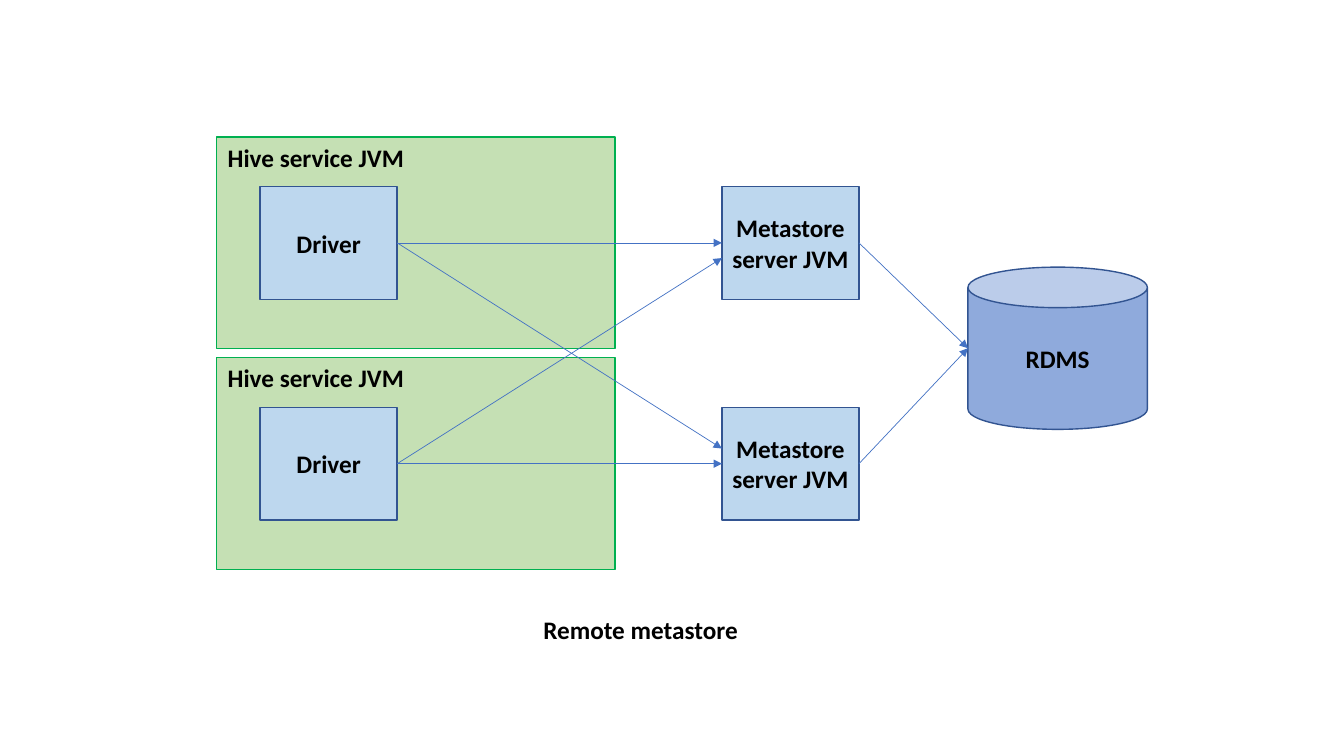
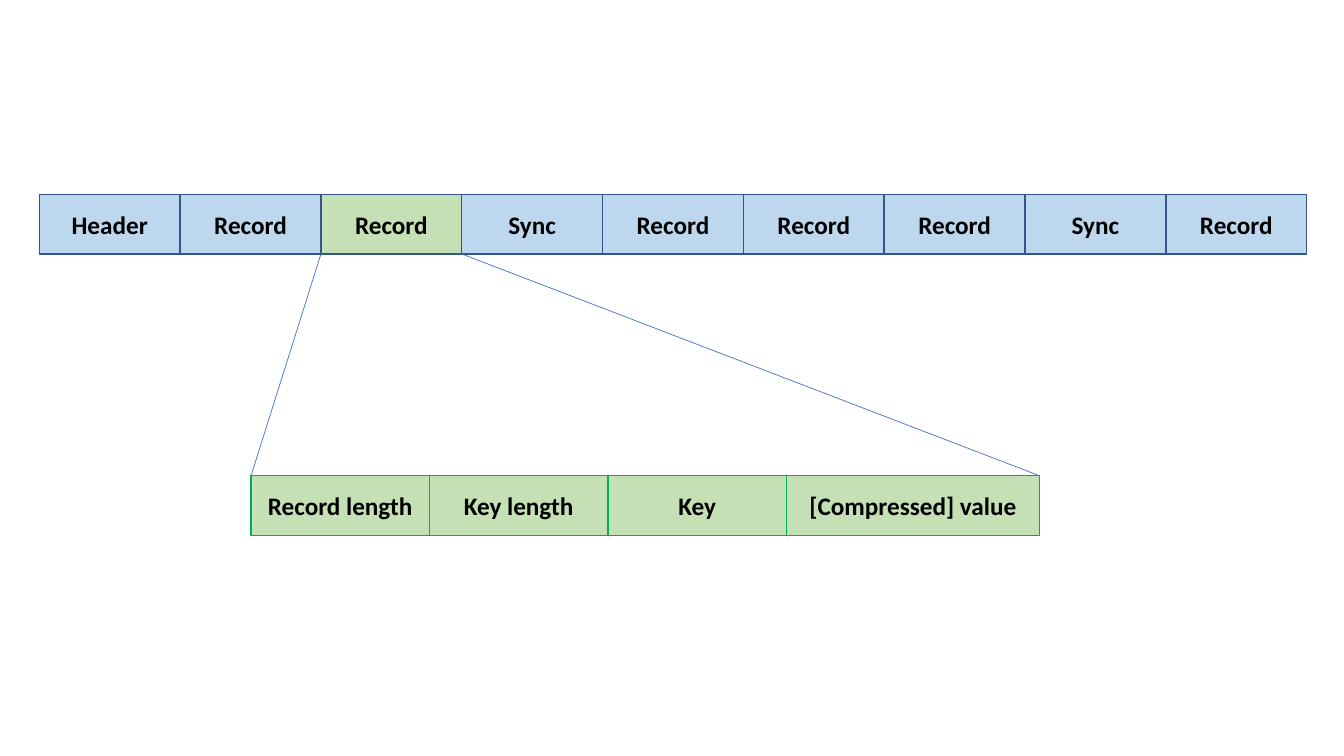
from pptx import Presentation
from pptx.dml.color import RGBColor
from pptx.enum import shapes, text
from pptx.oxml.ns import qn
from pptx.util import Inches, Pt
from lxml import etree

BLACK = RGBColor(0x00, 0x00, 0x00)
LIGHT_BLUE = RGBColor(0xBD, 0xD7, 0xEE)
MID_BLUE = RGBColor(0x8F, 0xAA, 0xDC)
DARK_BLUE = RGBColor(0x32, 0x54, 0x91)
LINE_BLUE = RGBColor(0x44, 0x72, 0xC4)
LIGHT_GREEN = RGBColor(0xC5, 0xE0, 0xB4)
GREEN = RGBColor(0x00, 0xB0, 0x50)
FONT = {"name": "Calibri", "size": Pt(18), "bold": True}
RECT = shapes.MSO_SHAPE.RECTANGLE
CAN = shapes.MSO_SHAPE.CAN
LEFT_SIDE, RIGHT_SIDE = 1, 3

prs = Presentation()
prs.slide_width, prs.slide_height = Inches(13.33), Inches(7.5)
blank = prs.slide_layouts[6]


def add_box(s, kind, x, y, w, h, fill=None, line=None, words=""):
    area = [Inches(v) for v in (x, y, w, h)]
    if kind is None:
        sp = s.shapes.add_textbox(*area)
    else:
        sp = s.shapes.add_shape(kind, *area)
        sp.shadow.inherit = False
        sp.fill.solid()
        sp.fill.fore_color.rgb = fill
        sp.line.color.rgb = line
        sp.line.width = Pt(1)
    if words:
        tf = sp.text_frame
        tf.word_wrap = kind is not None
        if kind is not None:
            tf.margin_left = tf.margin_right = Inches(0.05)
            tf.vertical_anchor = text.MSO_ANCHOR.MIDDLE
        tf.text = words
        for p in tf.paragraphs:
            p.alignment = text.PP_ALIGN.LEFT if kind is None else text.PP_ALIGN.CENTER
            for key, value in FONT.items():
                setattr(p.font, key, value)
            p.font.color.rgb = BLACK
    return sp


def add_line(s, start, end, arrow=False):
    ends = [Inches(v) for v in (*start, *end)]
    cx = s.shapes.add_connector(shapes.MSO_CONNECTOR.STRAIGHT, *ends)
    cx.line.color.rgb = LINE_BLUE
    cx.line.width = Pt(0.5)
    if arrow:
        etree.SubElement(cx.line._get_or_add_ln(), qn("a:tailEnd"), type="triangle")
    etree.SubElement(cx._element.spPr, qn("a:effectLst"))
    return cx


s = prs.slides.add_slide(blank)
box_w, box_h = 1.36, 1.12
driver_x, server_x = 2.58, 7.16
can_x, can_y, can_w, can_h = 9.6, 2.65, 1.78, 1.61
can_left = (can_x, can_y + can_h / 2)
add_box(s, CAN, can_x, can_y, can_w, can_h, MID_BLUE, DARK_BLUE, "RDMS")

drivers, servers, middles = [], [], []
for top in (1.36, 3.55):
    box_y = top + 0.49
    add_box(s, RECT, 2.15, top, 3.95, 2.1, LIGHT_GREEN, GREEN)
    add_box(s, None, 2.16, top, 1.97, 0.4, words="Hive service JVM")
    drivers.append(add_box(s, RECT, driver_x, box_y, box_w, box_h,
                           LIGHT_BLUE, DARK_BLUE, "Driver"))
    servers.append(add_box(s, RECT, server_x, box_y, box_w, box_h,
                           LIGHT_BLUE, DARK_BLUE, "Metastore\nserver JVM"))
    middles.append(box_y + box_h / 2)

for i, y in enumerate(middles):
    driver_right = (driver_x + box_w, y)
    straight = add_line(s, driver_right, (server_x, y), arrow=True)
    straight.begin_connect(drivers[i], RIGHT_SIDE)
    straight.end_connect(servers[i], LEFT_SIDE)
    cross_y = middles[1 - i] + (0.15 if i else -0.15)
    cross = add_line(s, driver_right, (server_x, cross_y), arrow=True)
    cross.begin_connect(drivers[i], RIGHT_SIDE)
    to_can = add_line(s, (server_x + box_w, y), can_left, arrow=True)
    to_can.begin_connect(servers[i], RIGHT_SIDE)

add_box(s, None, 5.29, 6.05, 2.15, 0.4, words="Remote metastore")

s = prs.slides.add_slide(blank)
cell_h = 0.59
file_x, file_y, file_w = 0.39, 1.93, 12.57
parts = ["Header", "Record", "Record", "Sync", "Record",
         "Record", "Record", "Sync", "Record"]
part_w = file_w / len(parts)
detailed = 2
for i, name in enumerate(parts):
    fill = LIGHT_GREEN if i == detailed else LIGHT_BLUE
    add_box(s, RECT, file_x + i * part_w, file_y, part_w, cell_h, fill, DARK_BLUE, name)

fields = [("Record length", 1.77), ("Key length", 1.77),
          ("Key", 1.77), ("[Compressed] value", 2.51)]
field_x, field_y = 2.49, 4.72
x = field_x
for name, w in fields:
    add_box(s, RECT, x, field_y, w, cell_h, LIGHT_GREEN, GREEN, name)
    x += w

record_x = file_x + detailed * part_w
for upper_x, lower_x in ((record_x, field_x), (record_x + part_w, x)):
    add_line(s, (upper_x, file_y + cell_h), (lower_x, field_y))

prs.save("out.pptx")
